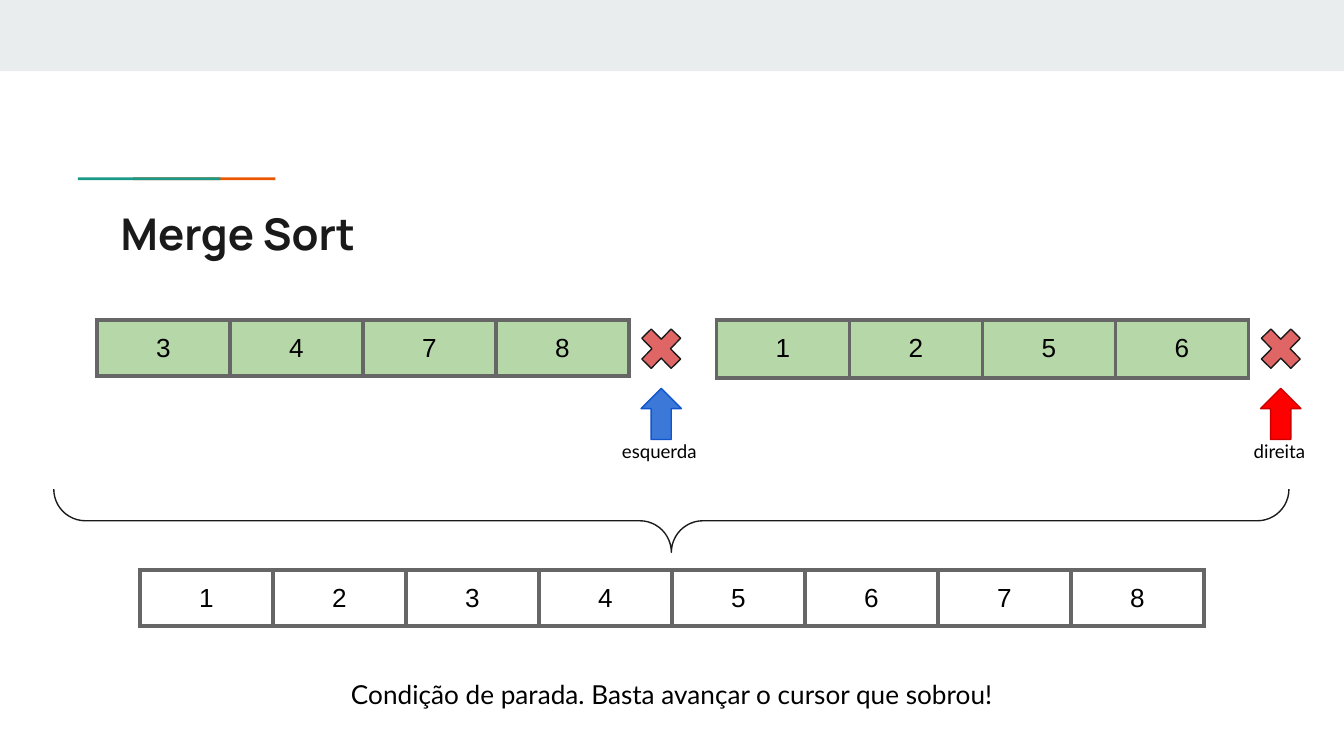
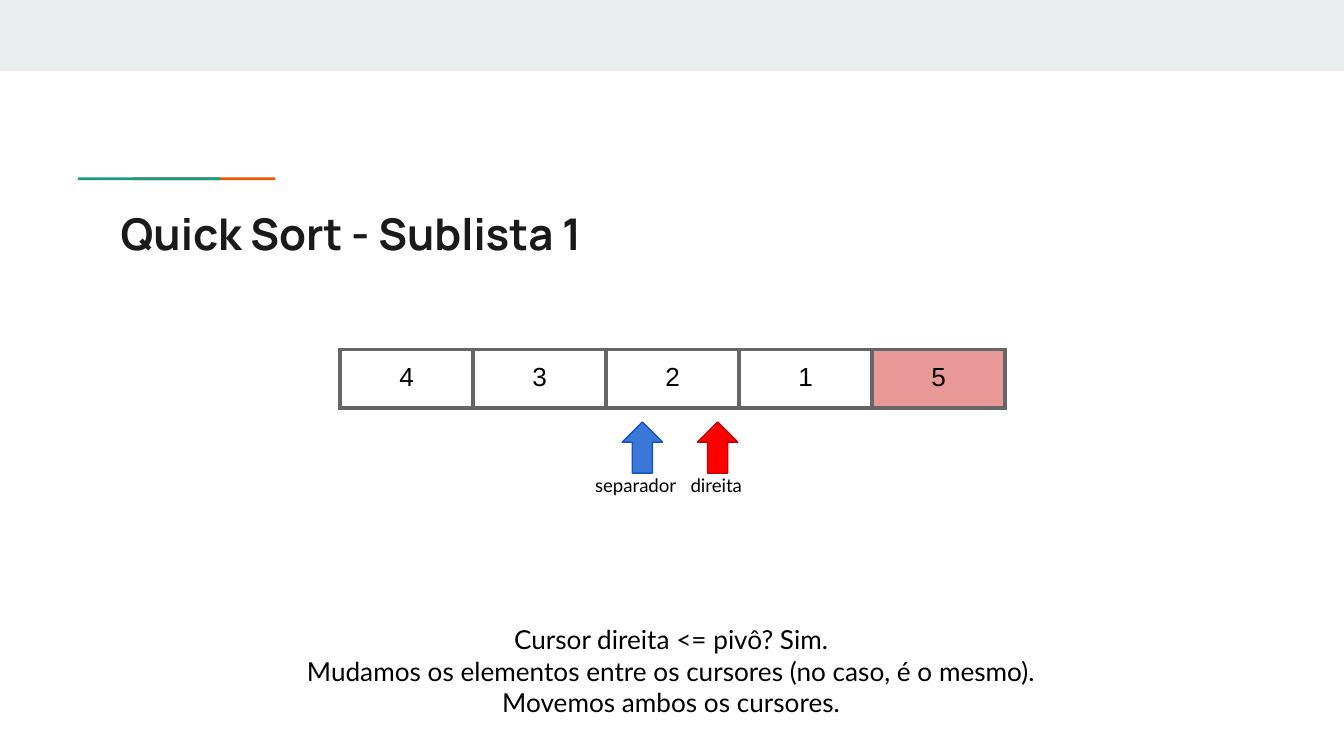
from dataclasses import dataclass

from lxml import etree
from pptx import Presentation
from pptx import util as u
from pptx.dml.color import RGBColor
from pptx.enum import shapes, text
from pptx.oxml.ns import qn

COLS, ROWS = 100, 56.25
SHAPE = shapes.MSO_SHAPE
LEFT, CENTER = text.PP_ALIGN.LEFT, text.PP_ALIGN.CENTER


@dataclass(frozen=True)
class Theme:
    band: str = "E9EDEE"
    teal: str = "1A9988"
    orange: str = "EB5600"
    ink: str = "1A1A1A"
    black: str = "000000"
    border: str = "666666"
    sorted_cell: str = "B6D7A8"
    pivot: str = "EA9999"
    cross: str = "E06666"
    blue: tuple = ("3C78D8", "1155CC")
    red: tuple = ("FF0000", "CC0000")
    title_font: str = "Manrope"
    body_font: str = "Lato"
    cell_font: str = "Arial"
    title_size: float = 23.4
    body_size: float = 14
    label_size: float = 10
    outline: float = 0.75
    cell_border: float = 2.25


def apply(target, values):
    for name, value in values.items():
        setattr(target, name, value)


def margins(prefix):
    return {prefix + side: u.Inches(0.1) for side in ("left", "right", "top", "bottom")}


class Deck:
    def __init__(self, theme):
        self.t = theme
        self.prs = Presentation()
        apply(self.prs, {"slide_width": u.Inches(10), "slide_height": u.Inches(5.625)})
        self.s = None

    def grid(self, x, y, w, h):
        col, row = self.prs.slide_width / COLS, self.prs.slide_height / ROWS
        return [u.Emu(round(n)) for n in (x * col, y * row, w * col, h * row)]

    def slide(self, title):
        t = self.t
        self.s = self.prs.slides.add_slide(self.prs.slide_layouts[6])
        self.shape(SHAPE.RECTANGLE, (0, 0, COLS, 5.3), t.band)
        self.shape(SHAPE.RECTANGLE, (9.9, 13.2, 10.6, 0.2), t.orange)
        self.shape(SHAPE.RECTANGLE, (5.8, 13.2, 10.6, 0.2), t.teal)
        self.text((8, 14.4, 84.1, 5.9), [title], t.title_size, t.title_font, t.ink,
                  LEFT, bold=True, fit=text.MSO_AUTO_SIZE.NONE)

    def shape(self, kind, box, fill=None, line=None, rotation=0, adjust=()):
        sp = self.s.shapes.add_shape(kind, *self.grid(*box))
        sp.shadow.inherit = False
        sp.rotation = rotation
        for i, value in enumerate(adjust):
            sp.adjustments[i] = value
        if fill:
            sp.fill.solid()
            sp.fill.fore_color.rgb = RGBColor.from_string(fill)
        else:
            sp.fill.background()
        if line:
            sp.line.color.rgb = RGBColor.from_string(line)
            sp.line.width = u.Pt(self.t.outline)
        else:
            sp.line.fill.background()

    def run(self, p, words, size, font, color, align, bold=False):
        p.alignment = align
        r = p.add_run()
        r.text = words
        apply(r.font, {"size": u.Pt(size), "name": font, "bold": bold})
        r.font.color.rgb = RGBColor.from_string(color)

    def text(self, box, lines, size, font, color, align, bold=False,
             fit=text.MSO_AUTO_SIZE.SHAPE_TO_FIT_TEXT):
        tf = self.s.shapes.add_textbox(*self.grid(*box)).text_frame
        apply(tf, {"word_wrap": True, "auto_size": fit, **margins("margin_")})
        for i, line in enumerate(lines):
            p = tf.add_paragraph() if i else tf.paragraphs[0]
            self.run(p, line, size, font, color, align, bold)

    def caption(self, box, *lines):
        t = self.t
        self.text(box, lines, t.body_size, t.body_font, t.black, CENTER)

    def border(self, cell):
        tc_pr = cell._tc.get_or_add_tcPr()
        for side in ("a:lnL", "a:lnR", "a:lnT", "a:lnB"):
            ln = etree.SubElement(tc_pr, qn(side), w=str(u.Pt(self.t.cell_border)))
            fill = etree.SubElement(ln, qn("a:solidFill"))
            etree.SubElement(fill, qn("a:srgbClr"), val=self.t.border)

    def array(self, x, y, values, fills):
        t, cell_w, cell_h = self.t, 9.9, 4.2
        box = self.grid(x, y, cell_w * len(values), cell_h)
        table = self.s.shapes.add_table(1, len(values), *box).table
        apply(table, {"first_row": False, "horz_banding": False})
        for cell, value, fill in zip(table.rows[0].cells, values, fills):
            apply(cell, margins("margin_"))
            self.border(cell)
            if fill:
                cell.fill.solid()
                cell.fill.fore_color.rgb = RGBColor.from_string(fill)
            else:
                cell.fill.background()
            self.run(cell.text_frame.paragraphs[0], str(value), t.body_size,
                     t.cell_font, t.black, CENTER)

    def cursor(self, x, y, colors, label, label_x, label_w):
        t = self.t
        self.shape(SHAPE.RIGHT_ARROW, (x, y, 3.8, 3), *colors, 270, (0.5, 0.5))
        self.text((label_x, y + 2.6, label_w, 3.7), [label], t.label_size,
                  t.body_font, t.black, LEFT)

    def cross(self, x, y):
        self.shape(SHAPE.MATH_MULTIPLY, (x, y, 4.2, 4.3), self.t.cross, self.t.ink,
                   adjust=(0.235,))


def merge_sort(deck):
    t = deck.t
    deck.slide("Merge Sort")
    deck.array(10.4, 42.4, range(1, 9), [None] * 8)
    halves = (
        (7.2, [3, 4, 7, 8], t.blue, "esquerda", 45.3, 7.7),
        (53.3, [1, 2, 5, 6], t.red, "direita", 92.3, 6),
    )
    for x, values, colors, label, label_x, label_w in halves:
        deck.array(x, 23.8, values, [t.sorted_cell] * 4)
        deck.cursor(x + 40.1, 29.3, colors, label, label_x, label_w)
        deck.cross(x + 39.9, 23.8)
    deck.caption((22.9, 49.5, 54.2, 4.4),
                 "Condição de parada. Basta avançar o cursor que sobrou!")
    deck.shape(SHAPE.RIGHT_BRACE, (47.6, -7.2, 4.7, 91.9), line=t.ink, rotation=90,
               adjust=(0.5, 0.5))


def quick_sort(deck):
    t = deck.t
    deck.slide("Quick Sort - Sublista 1")
    deck.array(25.3, 26, [4, 3, 2, 1, 5], [None] * 4 + [t.pivot])
    deck.cursor(45.9, 31.8, t.blue, "separador", 43.3, 8.3)
    deck.cursor(51.5, 31.8, t.red, "direita", 50.4, 6)
    deck.caption((17.8, 45.4, 64.3, 9.1),
                 "Cursor direita <= pivô? Sim.",
                 "Mudamos os elementos entre os cursores (no caso, é o mesmo).",
                 "Movemos ambos os cursores.")


def main():
    deck = Deck(Theme())
    merge_sort(deck)
    quick_sort(deck)
    deck.prs.save("out.pptx")


if __name__ == "__main__":
    main()
